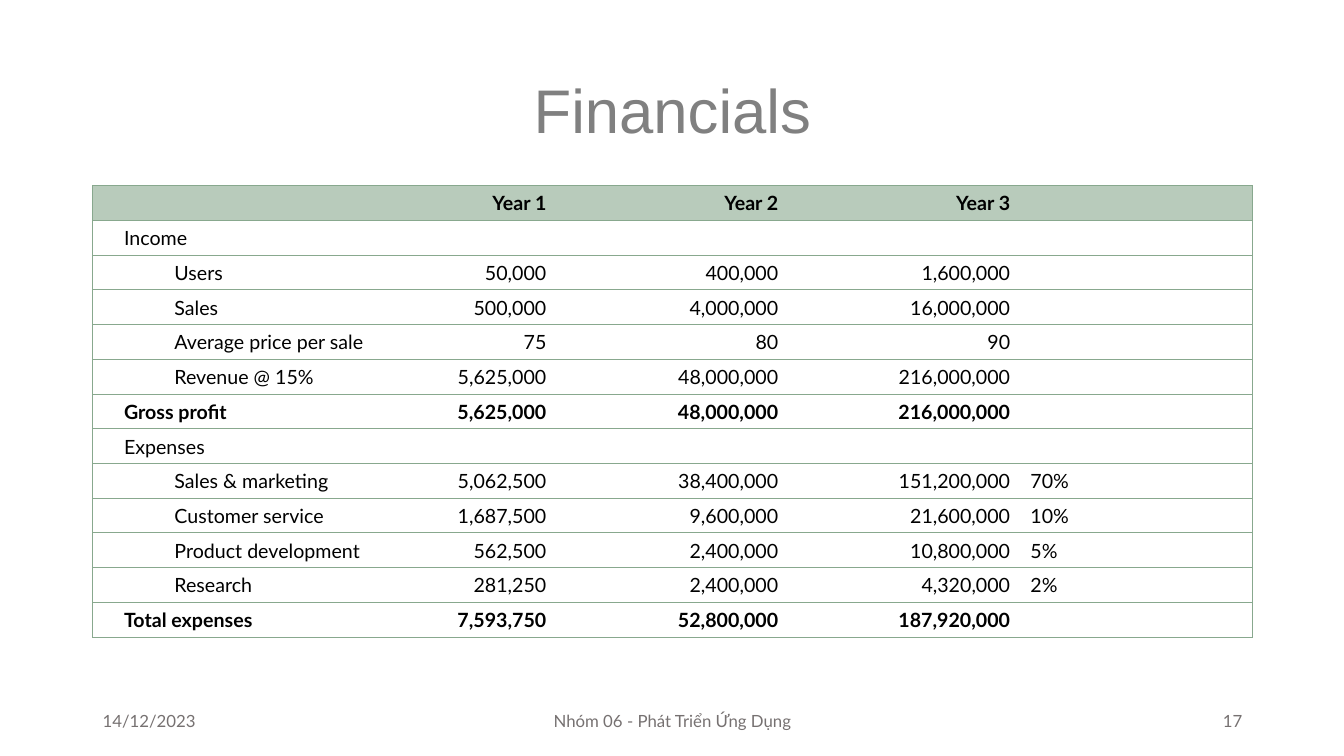
from lxml.etree import SubElement
from pptx import Presentation
from pptx.dml.color import RGBColor
from pptx.enum.text import MSO_ANCHOR, PP_ALIGN
from pptx.oxml import parse_xml
from pptx.oxml.ns import nsdecls, qn
from pptx.util import Inches, Pt

BLACK = RGBColor(0x00, 0x00, 0x00)
TITLE_GRAY = RGBColor(0x80, 0x80, 0x80)
FOOTER_GRAY = RGBColor(0x76, 0x71, 0x71)
HEADER_GREEN = RGBColor(0xB8, 0xCB, 0xBB)
RULE_GREEN = RGBColor(0x88, 0xA8, 0x8E)

LEFT, WIDTH = 0.92, 11.5
TABLE_TOP, TABLE_HEIGHT = 1.84, 4.48
COLUMN_WIDTHS = (2.99, 1.61, 2.3, 2.3, 2.3)
TEXT_SIZE = Pt(14)

HEADER, GROUP, ITEM, TOTAL = range(4)
FINANCIALS = (
    (HEADER, "", "Year 1", "Year 2", "Year 3", ""),
    (GROUP, "Income", "", "", "", ""),
    (ITEM, "Users", "50,000", "400,000", "1,600,000", ""),
    (ITEM, "Sales", "500,000", "4,000,000", "16,000,000", ""),
    (ITEM, "Average price per sale", "75", "80", "90", ""),
    (ITEM, "Revenue @ 15%", "5,625,000", "48,000,000", "216,000,000", ""),
    (TOTAL, "Gross profit", "5,625,000", "48,000,000", "216,000,000", ""),
    (GROUP, "Expenses", "", "", "", ""),
    (ITEM, "Sales & marketing", "5,062,500", "38,400,000", "151,200,000", "70%"),
    (ITEM, "Customer service", "1,687,500", "9,600,000", "21,600,000", "10%"),
    (ITEM, "Product development", "562,500", "2,400,000", "10,800,000", "5%"),
    (ITEM, "Research", "281,250", "2,400,000", "4,320,000", "2%"),
    (TOTAL, "Total expenses", "7,593,750", "52,800,000", "187,920,000", ""),
)
FOOTERS = (
    ("14/12/2023", LEFT, 3, PP_ALIGN.LEFT),
    ("Nhóm 06 - Phát Triển Ứng Dụng", 4.42, 4.5, PP_ALIGN.CENTER),
    ("17", 9.42, 3, PP_ALIGN.RIGHT),
)


def set_attributes(target, values):
    for name, value in values.items():
        setattr(target, name, value)


def write(paragraph, text, color, **font_values):
    run = paragraph.add_run()
    run.text = text
    set_attributes(run.font, font_values)
    run.font.color.rgb = color


def add_title(slide, text):
    title = slide.shapes.title
    set_attributes(title, {"left": Inches(LEFT), "top": Inches(0.4),
                           "width": Inches(WIDTH), "height": Inches(1.45)})
    title.text_frame.vertical_anchor = MSO_ANCHOR.MIDDLE
    paragraph = title.text_frame.paragraphs[0]
    set_attributes(paragraph, {"alignment": PP_ALIGN.CENTER, "line_spacing": 0.9})
    write(paragraph, text, TITLE_GRAY, name="Arial", size=Pt(44))


def add_footer(slide, text, left, width, alignment):
    footer = slide.shapes.add_textbox(Inches(left), Inches(6.95), Inches(width), Inches(0.4))
    set_attributes(footer.text_frame, {"word_wrap": True, "vertical_anchor": MSO_ANCHOR.MIDDLE})
    paragraph = footer.text_frame.paragraphs[0]
    paragraph.alignment = alignment
    write(paragraph, text, FOOTER_GRAY, name="Lato", size=Pt(12))


def rule_cell(cell, column):
    """Draw horizontal rules everywhere and vertical ones only at the table's edges."""
    ruled = {"lnL": column == 0, "lnR": column == len(COLUMN_WIDTHS) - 1,
             "lnT": True, "lnB": True}
    properties = cell._tc.get_or_add_tcPr()
    for position, (side, visible) in enumerate(ruled.items()):
        paint = (f'<a:solidFill><a:srgbClr val="{RULE_GREEN}"/></a:solidFill>'
                 if visible else "<a:noFill/>")
        line = parse_xml(f'<a:{side} {nsdecls("a")} w="{Pt(0.5)}">{paint}</a:{side}>')
        properties.insert(position, line)


def fill_cell(cell, text, kind, column):
    cell.vertical_anchor = MSO_ANCHOR.BOTTOM
    if kind == HEADER:
        cell.fill.solid()
        cell.fill.fore_color.rgb = HEADER_GREEN
    else:
        cell.fill.background()
    rule_cell(cell, column)

    paragraph = cell.text_frame.paragraphs[0]
    if column == 0:
        cell.margin_left = Inches(0.31)
        if kind == ITEM:
            paragraph.level = 1
            indent = paragraph._p.get_or_add_pPr()
            indent.set("marL", str(Inches(0.5)))
            indent.set("indent", "0")
    elif column < len(COLUMN_WIDTHS) - 1:
        paragraph.alignment = PP_ALIGN.RIGHT
    if text:
        write(paragraph, text, BLACK, name="Lato", size=TEXT_SIZE,
              bold=kind in (HEADER, TOTAL))
    else:
        # Keeps empty cells from stretching their row
        SubElement(paragraph._p, qn("a:endParaRPr"), sz=str(TEXT_SIZE.centipoints))


def add_financials(slide):
    table = slide.shapes.add_table(
        len(FINANCIALS), len(COLUMN_WIDTHS), Inches(LEFT), Inches(TABLE_TOP),
        Inches(WIDTH), Inches(TABLE_HEIGHT)).table
    table.horz_banding = False
    for column, width in zip(table.columns, COLUMN_WIDTHS):
        column.width = Inches(width)
    for row, (kind, *texts) in enumerate(FINANCIALS):
        for column, text in enumerate(texts):
            fill_cell(table.cell(row, column), text, kind, column)


def main():
    presentation = Presentation()
    set_attributes(presentation, {"slide_width": Inches(13.33), "slide_height": Inches(7.5)})
    slide = presentation.slides.add_slide(presentation.slide_layouts[5])
    add_title(slide, "Financials")
    add_financials(slide)
    for footer in FOOTERS:
        add_footer(slide, *footer)
    presentation.save("out.pptx")


if __name__ == "__main__":
    main()
